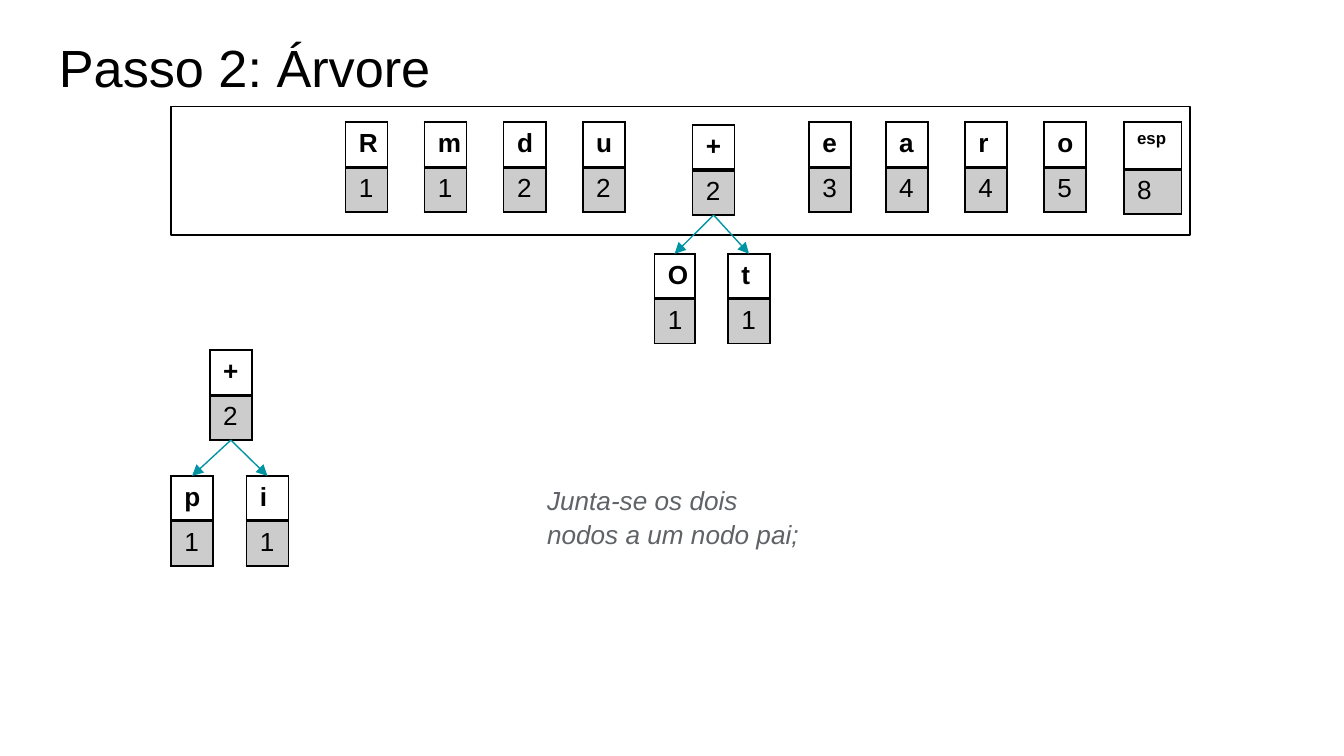
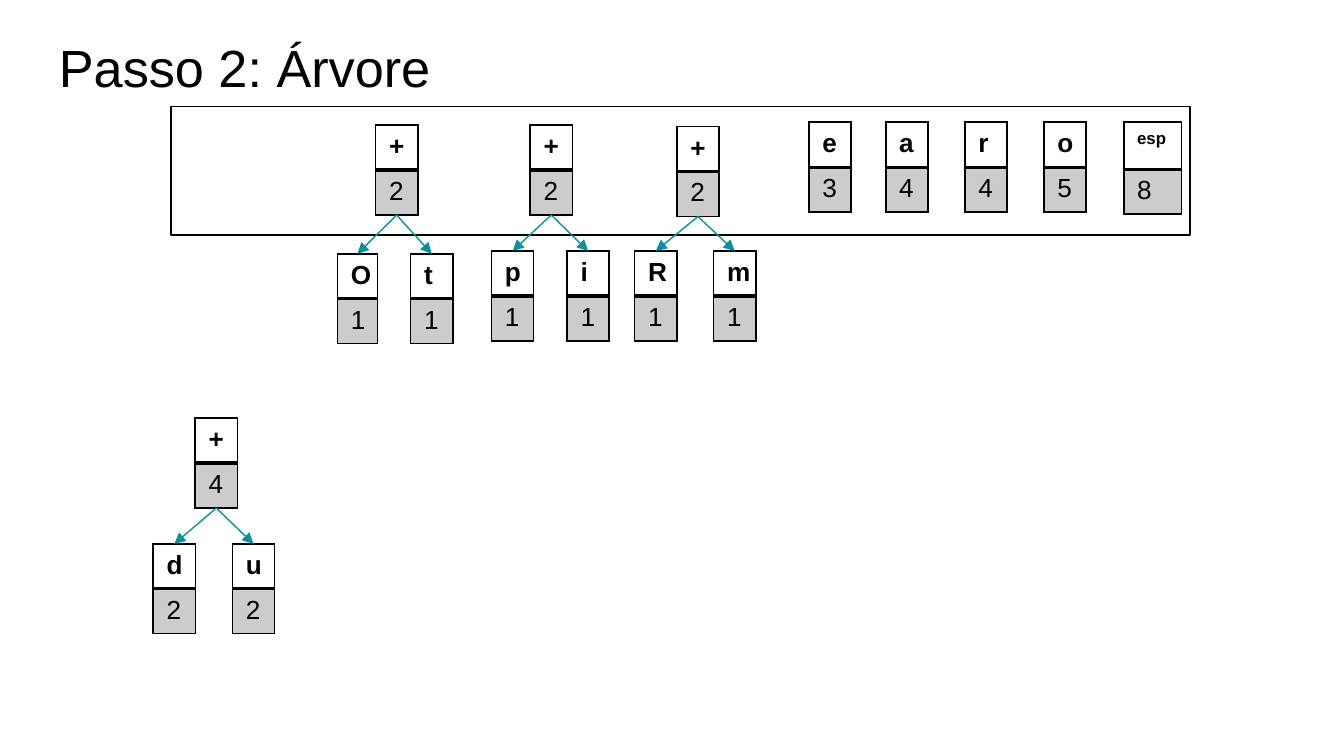
from lxml import etree
from pptx import Presentation
from pptx.dml.color import RGBColor
from pptx.enum import dml, shapes, text
from pptx.oxml import ns
from pptx.util import Pt

colour = RGBColor.from_string
BLACK, TEAL, GREY = "000000", "0094A3", "5F6368"
NODE_WIDTH, NODE_HEIGHT, ROW_HEIGHT = 22.6, 48.2, 22.3
QUEUE_TOP, QUEUE_STEP = 65.5, 42.4


def write(frame, content, size=14, color=BLACK, bold=False, italic=False, spacing=1.0):
    paragraph = frame.paragraphs[0]
    paragraph.line_spacing = spacing
    run = paragraph.add_run()
    run.text = content
    run.font.name = "Arial"
    run.font.size = Pt(size)
    run.font.bold = bold
    run.font.italic = italic
    run.font.color.rgb = colour(color)
    return paragraph


def add_node(slide, symbol, count, left, top, width=NODE_WIDTH, row=ROW_HEIGHT,
             height=NODE_HEIGHT, size=14):
    node = slide.shapes.add_table(2, 1, Pt(left), Pt(top), Pt(width), Pt(height))
    table = node.table
    table.first_row = table.horz_banding = False
    table.rows[0].height = Pt(row)
    table.rows[1].height = Pt(max(ROW_HEIGHT, row) if size == 14 else ROW_HEIGHT)
    node.height = Pt(height)
    for index, (content, points, bottom) in enumerate([(symbol, size, 2), (count, 14, 1)]):
        cell = table.cell(index, 0)
        write(cell.text_frame, content, size=points, bold=index == 0)
        properties = cell._tc.get_or_add_tcPr()
        for side, weight in (("L", 1), ("R", 1), ("T", 1), ("B", bottom)):
            line = etree.SubElement(properties, ns.qn("a:ln" + side), w=str(Pt(weight)))
            fill = etree.SubElement(line, ns.qn("a:solidFill"))
            etree.SubElement(fill, ns.qn("a:srgbClr"), val=BLACK)
        if index == 0:
            cell.fill.background()
        else:
            cell.fill.solid()
            cell.fill.fore_color.rgb = colour(BLACK)
            shade = properties.find(ns.qn("a:solidFill")).find(ns.qn("a:srgbClr"))
            etree.SubElement(shade, ns.qn("a:alpha"), val="20000")
    return node


# Waiting queue: symbol, count, left
first_letters = [(symbol, count, 185 + index * QUEUE_STEP)
                 for index, (symbol, count) in enumerate(["R1", "m1", "d2", "u2"])]
last_letters = [("e", "3", 433.4)] + [
    (symbol, count, 474.5 + index * QUEUE_STEP)
    for index, (symbol, count) in enumerate(["a4", "r4", "o5"])]

# Trees: parent count, left, top, row height; children top, count, (symbol, left, width)
steps = [
    {"queue": first_letters + last_letters,
     "trees": [
         ("2", 371, 67, ROW_HEIGHT, 136, "1", [("O", 350.6, 21.6), ("t", 390, NODE_WIDTH)]),
         ("2", 112.4, 187.6, 24.1, 255, "1", [("p", 91.6, NODE_WIDTH), ("i", 132, NODE_WIDTH)])],
     "note": "Junta-se os dois nodos a um nodo pai;"},
    {"queue": last_letters,
     "trees": [
         ("2", 201.2, 67, ROW_HEIGHT, 136, "1", [("O", 180.7, 21.6), ("t", 220, NODE_WIDTH)]),
         ("2", 284, 67, ROW_HEIGHT, 134.5, "1", [("p", 263.3, NODE_WIDTH), ("i", 303.8, NODE_WIDTH)]),
         ("2", 362.6, 67.8, ROW_HEIGHT, 134.5, "1", [("R", 340, NODE_WIDTH), ("m", 382.3, NODE_WIDTH)]),
         ("4", 104.6, 224, ROW_HEIGHT, 291.4, "2", [("d", 82.1, NODE_WIDTH), ("u", 124.5, NODE_WIDTH)])],
     "note": None},
]

presentation = Presentation()
presentation.slide_width, presentation.slide_height = Pt(720), Pt(405)

for step in steps:
    slide = presentation.slides.add_slide(presentation.slide_layouts[6])

    # Title
    title = slide.shapes.add_textbox(Pt(24.5), Pt(8.6), Pt(671), Pt(45.4)).text_frame
    title.word_wrap = True
    title.margin_left = title.margin_right = title.margin_top = title.margin_bottom = Pt(7.2)
    write(title, "Passo 2: Árvore", size=28, spacing=1.1)

    # Queue and its outline
    for symbol, count, left in step["queue"]:
        add_node(slide, symbol, count, left, QUEUE_TOP)
    add_node(slide, "esp", "8", 602, QUEUE_TOP, width=31, row=25.2, height=49.7, size=9)
    outline = slide.shapes.add_shape(shapes.MSO_SHAPE.RECTANGLE,
                                     Pt(91.6), Pt(57), Pt(546), Pt(69))
    outline.shadow.inherit = False
    outline.fill.background()
    outline.line.color.rgb = colour(BLACK)
    outline.line.width = Pt(0.75)

    # Trees with arrows from each parent to its children
    for total, left, top, row, child_top, count, children in step["trees"]:
        parent = add_node(slide, "+", total, left, top, row=row)
        for symbol, child_left, width in children:
            child = add_node(slide, symbol, count, child_left, child_top, width=width)
            arrow = slide.shapes.add_connector(shapes.MSO_CONNECTOR.STRAIGHT, 0, 0, 0, 0)
            arrow.begin_connect(parent, 2)
            arrow.end_connect(child, 0)
            arrow.line.color.rgb = colour(TEAL)
            arrow.line.width = Pt(0.75)
            arrow.line.dash_style = dml.MSO_LINE.SOLID
            properties = arrow._element.spPr
            etree.SubElement(properties.find(ns.qn("a:ln")), ns.qn("a:tailEnd"), type="triangle")
            etree.SubElement(properties, ns.qn("a:effectLst"))

    # Explanation
    if step["note"]:
        note = slide.shapes.add_textbox(Pt(250), Pt(255), Pt(188), Pt(41)).text_frame
        note.word_wrap = True
        note.auto_size = text.MSO_AUTO_SIZE.SHAPE_TO_FIT_TEXT
        paragraph = write(note, step["note"], color=GREY, italic=True, spacing=1.07)
        paragraph.level = 1
        paragraph._p.get_or_add_pPr().set("marL", str(Pt(36)))

presentation.save("out.pptx")
